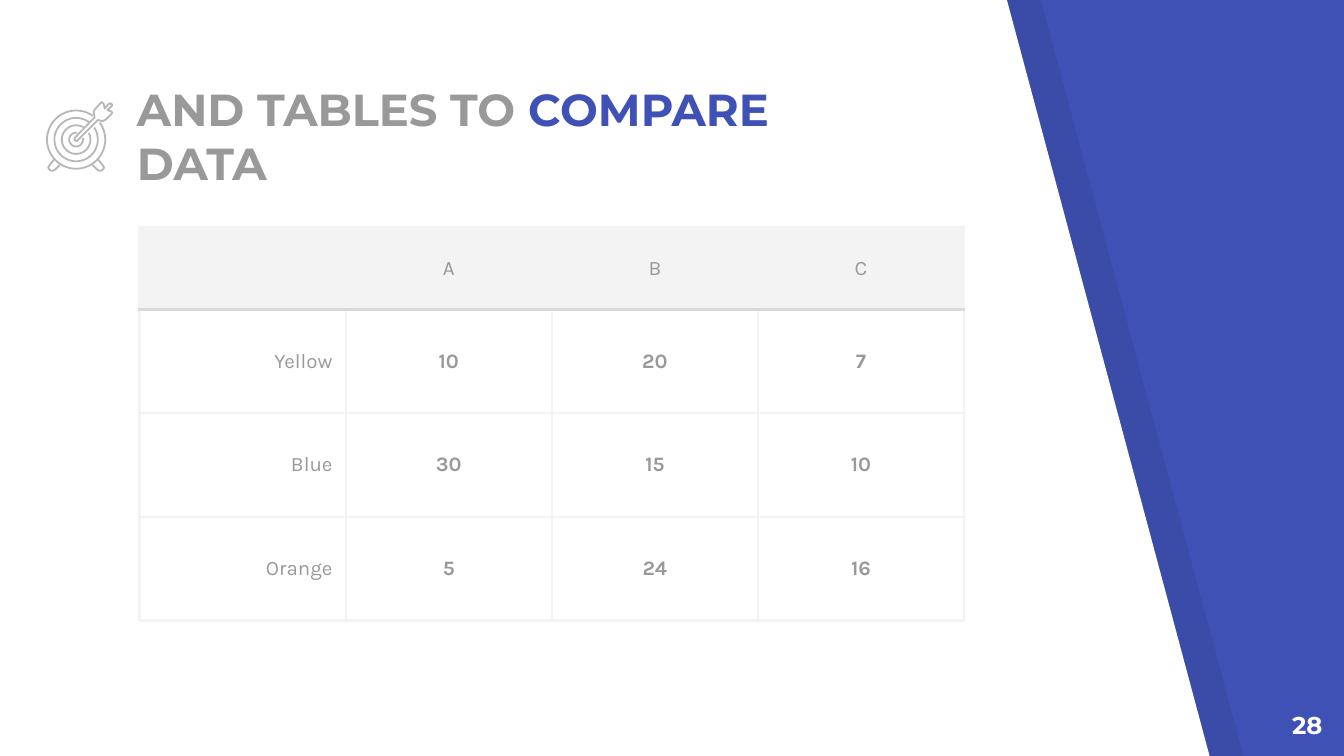
from math import cos, radians, sin

from lxml.etree import SubElement
from pptx import Presentation
from pptx.dml.color import RGBColor
from pptx.enum.text import MSO_ANCHOR, PP_ALIGN
from pptx.oxml.ns import qn
from pptx.util import Cm, Pt

BLUE = RGBColor(0x3F, 0x51, 0xB5)
WHITE = RGBColor(0xFF, 0xFF, 0xFF)
BLACK = RGBColor(0x00, 0x00, 0x00)
GREY = RGBColor(0x99, 0x99, 0x99)
ICON_GREY = RGBColor(0xB7, 0xB7, 0xB7)
RULE_GREY = RGBColor(0xD9, 0xD9, 0xD9)
PALE_GREY = RGBColor(0xF3, 0xF3, 0xF3)

RINGS = [(0.55, 55, 396), (0.41, 54, 394), (0.27, 58, 388), (0.13, 82, 372)]
FOOT = [(0.13, 1.09), (0.05, 1.19), (0.02, 1.24), (0.06, 1.29),
        (0.1, 1.3), (0.15, 1.28), (0.24, 1.19)]
DART = [(1.22, 0.18), (1.14, 0.15), (1.23, 0.07), (1.22, 0.03), (1.17, 0.03),
        (1.09, 0.12), (1.07, 0.03), (1.03, 0), (0.91, 0.13), (0.88, 0.18),
        (0.9, 0.29), (0.52, 0.68), (0.52, 0.72), (0.56, 0.74), (0.96, 0.34),
        (1.05, 0.36), (1.11, 0.33), (1.23, 0.21)]
ROWS = [("", "A", "B", "C"),
        ("Yellow", "10", "20", "7"),
        ("Blue", "30", "15", "10"),
        ("Orange", "5", "24", "16")]


def add_outline(slide, left, top, points, close=True):
    """Add a freeform through points given in centimetres from left and top."""
    corners = [(left + Cm(x), top + Cm(y)) for x, y in points]
    builder = slide.shapes.build_freeform(*corners[0])
    builder.add_line_segments(corners[1:], close=close)
    outline = builder.convert_to_shape()
    outline.shadow.inherit = False
    return outline


def add_run(paragraph, text, font_name, size, color, bold=False):
    """Add one formatted run to a paragraph."""
    run = paragraph.add_run()
    run.text = text
    run.font.name = font_name
    run.font.size = Pt(size)
    run.font.bold = bold
    run.font.color.rgb = color


def add_text(slide, left, top, width, height, runs, size, anchor, align):
    """Add a wrapped Montserrat text box with bold coloured runs."""
    box = slide.shapes.add_textbox(left, top, width, height)
    frame = box.text_frame
    frame.word_wrap = True
    frame.vertical_anchor = anchor
    frame.margin_left = frame.margin_right = Cm(0.25)
    frame.margin_top = frame.margin_bottom = Cm(0.25)
    paragraph = frame.paragraphs[0]
    paragraph.alignment = align
    for text, color in runs:
        add_run(paragraph, text, "Montserrat", size, color, bold=True)


def add_panel(slide, left, top, width, height):
    """Place the slanted white panel and the dark band along its edge."""
    slant = Cm(3.83)
    band = Cm(0.64)
    corners = [(0, 0), (0, height.cm), (width.cm, height.cm), (width.cm - slant.cm, 0)]
    for offset, color in ((band, BLACK), (0, WHITE)):
        panel = add_outline(slide, left + offset, top, corners)
        panel.fill.solid()
        panel.fill.fore_color.rgb = color
        if color == BLACK:
            tint = panel._element.spPr.find(".//" + qn("a:srgbClr"))
            SubElement(tint, qn("a:alpha"), val="7000")
        panel.line.fill.background()


def add_target_icon(slide, left, top):
    """Draw the target with its rings, feet and dart."""
    center_x, center_y = 0.55, 0.71
    strokes = []
    for radius, start, end in RINGS:
        angles = [radians(start + (end - start) * step / 60) for step in range(61)]
        ring = [(center_x + radius * cos(a), center_y - radius * sin(a)) for a in angles]
        strokes.append((ring, False))
    strokes.append((FOOT, False))
    strokes.append(([(2 * center_x - x, y) for x, y in FOOT], False))
    strokes.append((DART, True))
    for points, close in strokes:
        stroke = add_outline(slide, left, top, points, close)
        stroke.fill.background()
        stroke.line.color.rgb = ICON_GREY
        stroke.line.width = Pt(0.96)


def set_borders(cell, top_color, bottom_color):
    """Draw the four borders of a cell."""
    properties = cell._tc.get_or_add_tcPr()
    sides = {"L": PALE_GREY, "R": PALE_GREY, "T": top_color, "B": bottom_color}
    for side, color in sides.items():
        border = SubElement(properties, qn(f"a:ln{side}"), w=str(int(Pt(1.5))))
        fill = SubElement(border, qn("a:solidFill"))
        SubElement(fill, qn("a:srgbClr"), val=str(color))


def add_comparison_table(slide, left, top, width, header_height, row_height):
    """Place the table with a shaded header row and bold values."""
    column_count = len(ROWS[0])
    height = header_height + row_height * (len(ROWS) - 1)
    table = slide.shapes.add_table(len(ROWS), column_count, left, top, width, height).table
    table.first_row = table.horz_banding = False
    for column in table.columns:
        column.width = width // column_count
    for row_index, values in enumerate(ROWS):
        is_header = row_index == 0
        table.rows[row_index].height = header_height if is_header else row_height
        for column_index, value in enumerate(values):
            is_label = column_index == 0
            cell = table.cell(row_index, column_index)
            cell.vertical_anchor = MSO_ANCHOR.MIDDLE
            cell.margin_left = cell.margin_right = Cm(0.25)
            cell.margin_top = cell.margin_bottom = Cm(0.18)
            set_borders(cell,
                        RULE_GREY if row_index == 1 else PALE_GREY,
                        RULE_GREY if is_header else PALE_GREY)
            if is_header:
                cell.fill.solid()
                cell.fill.fore_color.rgb = PALE_GREY
            else:
                cell.fill.background()
            if value:
                paragraph = cell.text_frame.paragraphs[0]
                paragraph.alignment = PP_ALIGN.RIGHT if is_label else PP_ALIGN.CENTER
                add_run(paragraph, value, "Karla", 11, GREY,
                        bold=not (is_header or is_label))


def main():
    """Build the slide and save it."""
    presentation = Presentation()
    presentation.slide_width = Cm(25.4)
    presentation.slide_height = Cm(14.29)
    slide = presentation.slides.add_slide(presentation.slide_layouts[6])
    slide.background.fill.solid()
    slide.background.fill.fore_color.rgb = BLUE

    add_panel(slide, Cm(0), Cm(0), Cm(22.86), presentation.slide_height)
    add_text(slide, Cm(2.34), Cm(2.69), Cm(13.34), Cm(1.14),
             [("AND TABLES TO ", GREY), ("COMPARE", BLUE), (" DATA", GREY)],
             24, MSO_ANCHOR.BOTTOM, PP_ALIGN.LEFT)
    add_comparison_table(slide, Cm(2.64), Cm(4.29), Cm(15.58), Cm(1.56), Cm(1.96))
    add_target_icon(slide, Cm(0.89), Cm(1.93))
    add_text(slide, Cm(23.72), Cm(13.18), Cm(1.52), Cm(1.09), [("28", WHITE)],
             13, MSO_ANCHOR.TOP, PP_ALIGN.RIGHT)
    presentation.save("out.pptx")


if __name__ == "__main__":
    main()
